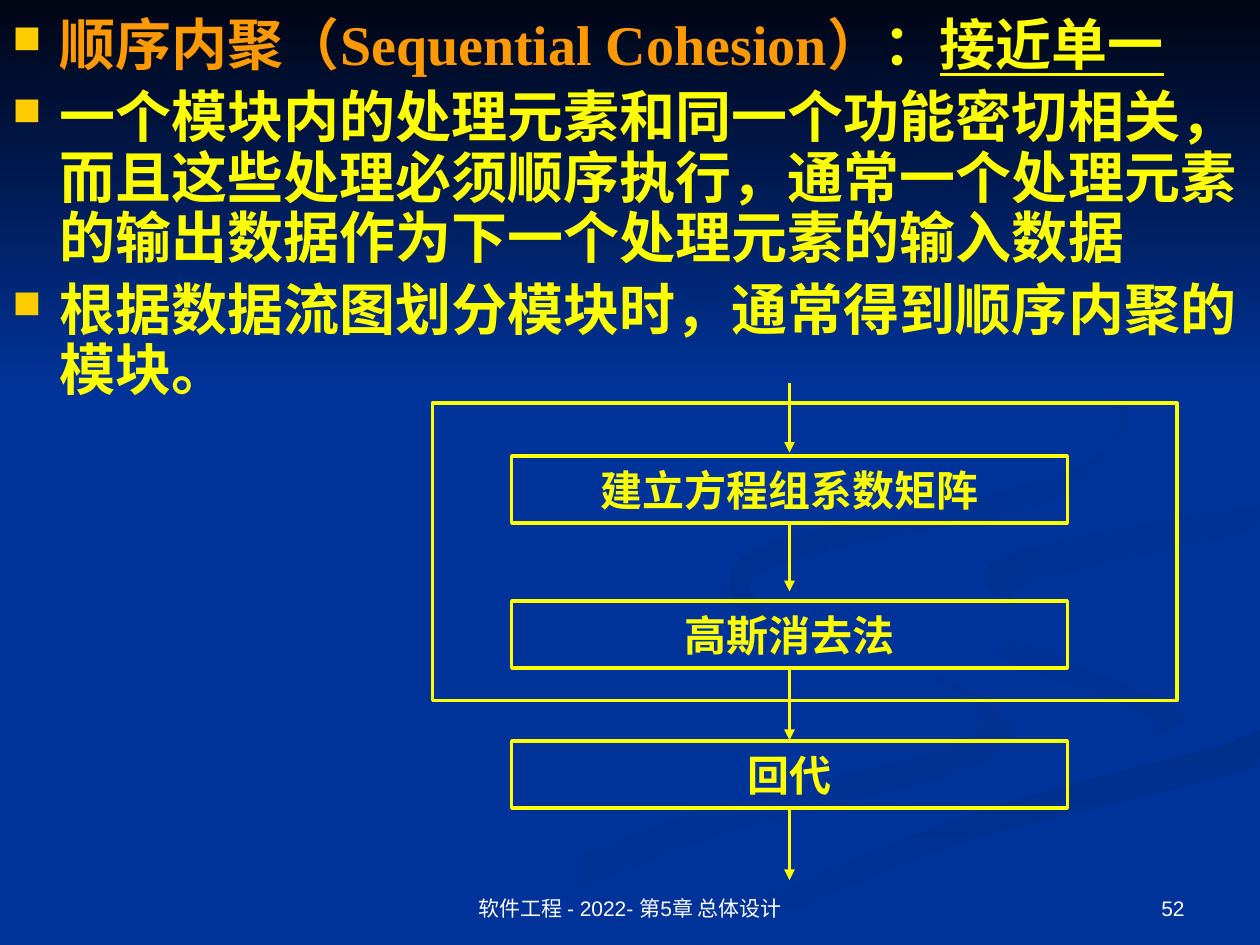
from lxml.etree import SubElement as Sub
from pptx import Presentation
from pptx.dml.color import RGBColor
from pptx.enum.shapes import MSO_CONNECTOR as Conn, MSO_SHAPE as Kind
from pptx.enum.text import MSO_ANCHOR as Anchor, PP_ALIGN as Align
from pptx.oxml.ns import qn
from pptx.util import Pt

WIDE, HIGH = 720, 540
BLUE, YELLOW, ORANGE, WHITE = "003399", "FFFF00", "FF9900", "FFFFFF"
SERIF, SANS = "Times New Roman", "Arial"

# Swooshes, back to front: start colour, end colour, angle, bends of the outline
SWOOSHES = [
    (BLUE, "003193", 0, [
        (562, 398), (451, 361), (413, 331), (433, 356), (541, 391), (546, 425),
        (388, 467), (216, 539), (260, 539), (406, 479), (562, 436)]),
    (BLUE, "003193", 45, [
        (679, 410), (612, 378), (521, 334), (574, 377), (659, 411), (644, 436)]),
    ("002F8C", BLUE, 90, [
        (362, 539), (411, 539), (541, 484), (719, 438), (719, 418), (550, 466)]),
    (BLUE, BLUE, 0, [
        (522, 334), (613, 377), (679, 410), (562, 456), (343, 539), (374, 538),
        (551, 466), (719, 418), (719, 387), (562, 331), (719, 289), (719, 279)]),
    ("003091", BLUE, 45, [
        (562, 331), (595, 357), (583, 335), (719, 302), (719, 289), (592, 312)]),
    ("002F8E", BLUE, 45, [
        (492, 310), (594, 289), (643, 248), (635, 222), (635, 255), (570, 282),
        (443, 309), (417, 336), (448, 360), (429, 332)]),
]

POINTS = [
    [("顺序内聚（Sequential Cohesion）", ORANGE, False), ("：", YELLOW, False),
     ("接近单一", YELLOW, True)],
    [("一个模块内的处理元素和同一个功能密切相关，而且这些处理必须顺序执行，"
      "通常一个处理元素的输出数据作为下一个处理元素的输入数据", YELLOW, False)],
    [("根据数据流图划分模块时，通常得到顺序内聚的模块。", YELLOW, False)],
]

# Distance of each step and arrow below the top of the flow
STEPS = [(41.8, "建立方程组系数矩阵"), (124.6, "高斯消去法"), (204.6, "回代")]
ARROWS = [0, 79.2, 164.2, 244.2]


def tint(code):
    return RGBColor.from_string(code)


def write(para, text, size=12, font=SANS, color=WHITE, bold=False, under=False):
    run = para.add_run()
    run.text = text
    face = run.font
    face.size, face.name, face.bold = Pt(size), font, bold
    face.underline = under
    face.color.rgb = tint(color)


def frame(shape, anchor):
    area = shape.text_frame
    area.word_wrap = True
    area.vertical_anchor = anchor
    return area


def blend(shape, start, end, angle):
    """Fill without outline; the angle runs clockwise."""
    shape.shadow.inherit = False
    shape.line.fill.background()
    fill = shape.fill
    if start == end:
        fill.solid()
        fill.fore_color.rgb = tint(start)
        return
    fill.gradient()
    fill.gradient_angle = -angle % 360
    for stop, code, place in zip(fill.gradient_stops, (start, end), (0, 1)):
        stop.color.rgb = tint(code)
        stop.position = place


def curve(bends, steps=5):
    """Closed Catmull-Rom curve through the bends, kept on the slide."""
    dots = []
    for i, here in enumerate(bends):
        past, goal = bends[i - 1], bends[(i + 1) % len(bends)]
        far = bends[(i + 2) % len(bends)]
        for t in (k / steps for k in range(steps)):
            dot = [b + t / 2 * (c - a + t * (2 * a - 5 * b + 4 * c - d
                                             + t * (3 * b - a - 3 * c + d)))
                   for a, b, c, d in zip(past, here, goal, far)]
            dots.append((min(dot[0], WIDE), min(dot[1], HIGH)))
    return dots


def backdrop(slide, x, y, w, h):
    slide.background.fill.solid()
    slide.background.fill.fore_color.rgb = tint(BLUE)
    for start, end, angle, bends in SWOOSHES:
        first, *rest = [(Pt(x + a), Pt(y + b)) for a, b in curve(bends)]
        pen = slide.shapes.build_freeform(*first)
        pen.add_line_segments(rest, close=True)
        blend(pen.convert_to_shape(), start, end, angle)
    # Dark fade across the top
    fade = slide.shapes.add_shape(Kind.RECTANGLE, Pt(x), Pt(y), Pt(w), Pt(h))
    blend(fade, "000514", BLUE, 90)


def bullet(para):
    props = para._p.get_or_add_pPr()
    props.set("marL", str(Pt(27)))
    props.set("indent", str(Pt(-27)))
    hue = Sub(props, qn("a:buClr"))
    Sub(hue, qn("a:srgbClr"), val="FFCC00")
    Sub(props, qn("a:buSzPct"), val="70000")
    Sub(props, qn("a:buChar"), char="■")


def body(slide, x, y, w, h):
    box = slide.shapes.add_textbox(Pt(x), Pt(y), Pt(w), Pt(h))
    area = frame(box, Anchor.TOP)
    for i, parts in enumerate(POINTS):
        para = area.add_paragraph() if i else area.paragraphs[0]
        bullet(para)
        para.line_spacing = 0.9
        if i:
            para.space_before = Pt(6.4)
        for text, color, under in parts:
            write(para, text, size=32, font=SERIF, color=color, bold=True, under=under)


def outline(slide, x, y, w, h):
    box = slide.shapes.add_shape(Kind.RECTANGLE, Pt(x), Pt(y), Pt(w), Pt(h))
    box.shadow.inherit = False
    box.fill.background()
    box.line.color.rgb = tint(YELLOW)
    box.line.width = Pt(2)
    return box


def arrow(slide, x, y, drop):
    line = slide.shapes.add_connector(Conn.STRAIGHT, Pt(x), Pt(y), Pt(x), Pt(y + drop))
    line.line.color.rgb = tint(YELLOW)
    line.line.width = Pt(2)
    Sub(line.line._get_or_add_ln(), qn("a:tailEnd"), type="triangle")
    Sub(line._element.spPr, qn("a:effectLst"))


def flow(slide, x, y, w, h):
    left, wide = x + 45.4, 317.5
    # Steps
    for top, text in STEPS:
        box = outline(slide, left, y + top, wide, 38.2)
        para = frame(box, Anchor.MIDDLE).paragraphs[0]
        para.alignment = Align.CENTER
        write(para, text, size=24, font=SERIF, color=YELLOW, bold=True)
    # Arrows
    for top in ARROWS:
        arrow(slide, left + wide / 2, y + top, 39.8)
    # Module border
    outline(slide, x, y + 11.5, w, h)


def footer(slide, x, y, w, h, text, align):
    box = slide.shapes.add_textbox(Pt(x), Pt(y), Pt(w), Pt(h))
    para = frame(box, Anchor.BOTTOM).paragraphs[0]
    para.alignment = align
    write(para, text)


def main():
    deck = Presentation()
    deck.slide_width, deck.slide_height = Pt(WIDE), Pt(HIGH)
    slide = deck.slides.add_slide(deck.slide_layouts[6])
    backdrop(slide, 0, 0, WIDE, 222)
    footer(slide, 246, 492, 228, 37.5, "软件工程 - 2022- 第5章 总体设计", Align.CENTER)
    body(slide, 0, 6.5, WIDE, 230)
    flow(slide, 247, 218.9, 425.5, 170)
    footer(slide, 516, 492, 168, 37.5, "52", Align.RIGHT)
    deck.save("out.pptx")


if __name__ == "__main__":
    main()
